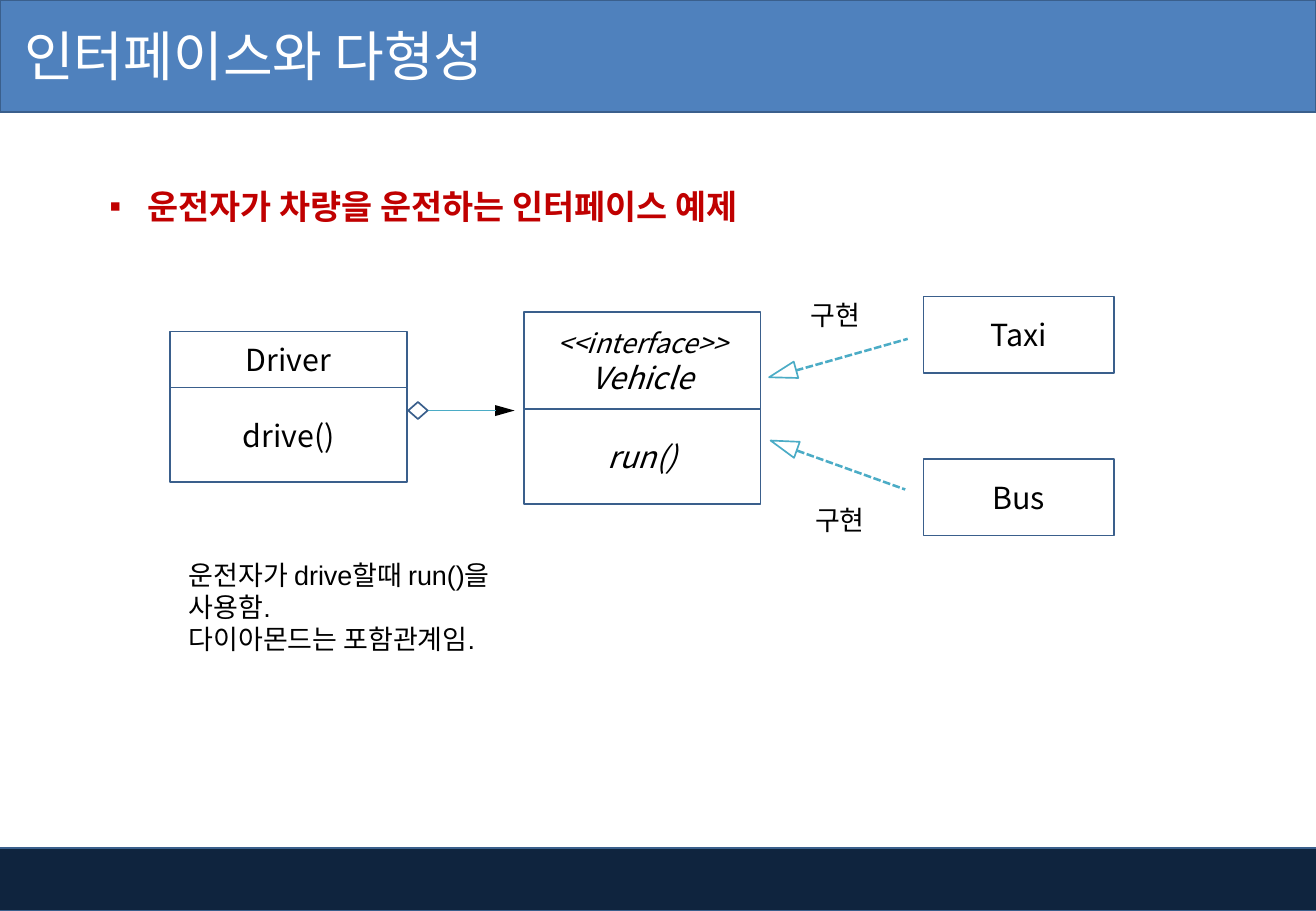
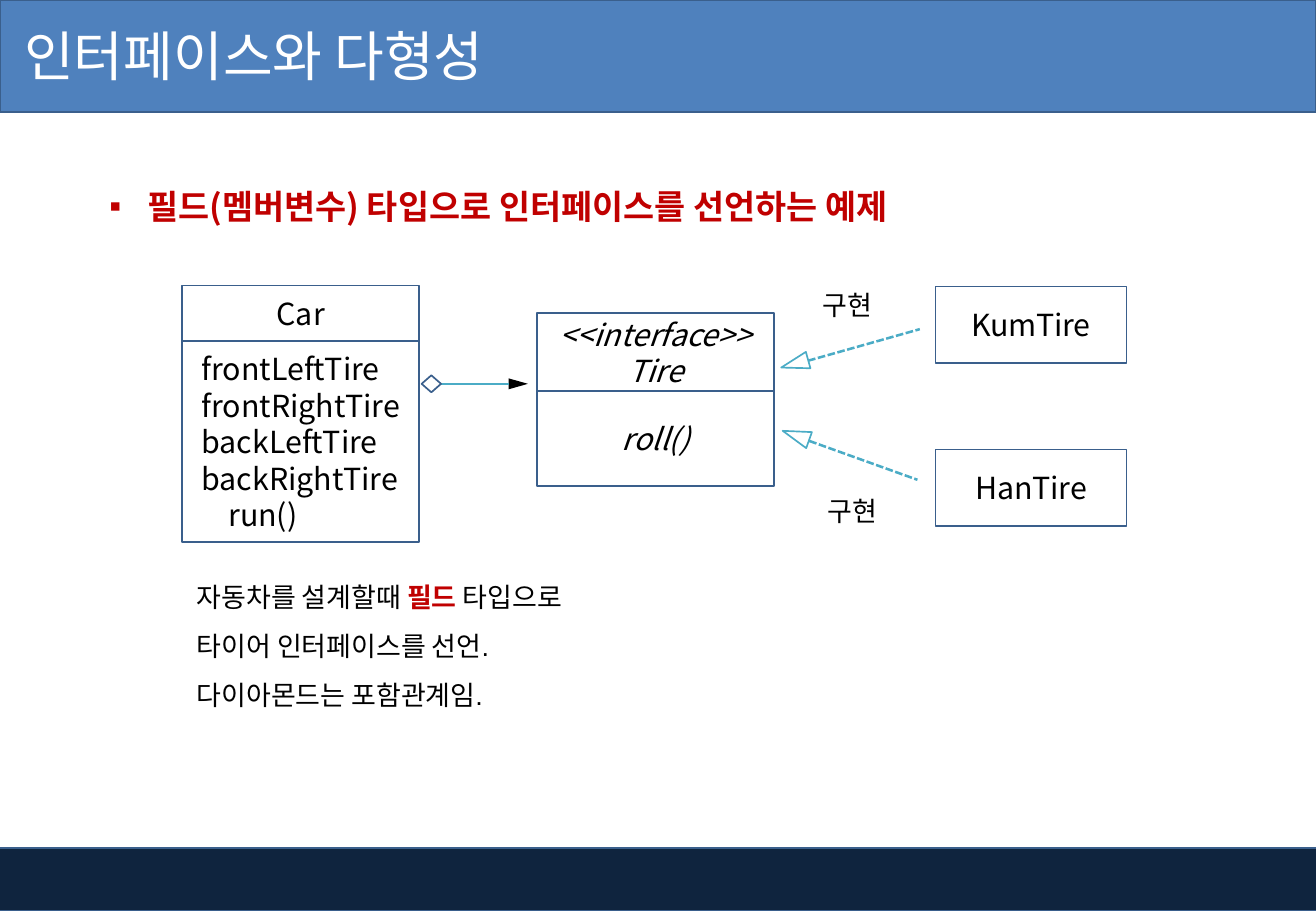
from dataclasses import dataclass

from lxml.etree import SubElement
from pptx import Presentation
from pptx.dml.color import RGBColor
from pptx.enum.dml import MSO_LINE
from pptx.enum.shapes import MSO_CONNECTOR, MSO_SHAPE
from pptx.enum.text import MSO_ANCHOR, MSO_AUTO_SIZE, PP_ALIGN
from pptx.oxml.ns import qn
from pptx.util import Inches, Pt


@dataclass(frozen=True)
class Theme:
    """Colours, fonts and type sizes."""
    white: str = "FFFFFF"
    black: str = "000000"
    blue: str = "4F81BD"
    navy: str = "0F243E"
    edge: str = "3A5F8C"
    teal: str = "4BACC6"
    red: str = "C00000"
    font: str = "Noto Sans CJK KR"
    plain: str = "Arial"
    title: int = 32
    lead: int = 20
    name: int = 18
    note: int = 16


THEME = Theme()


@dataclass(frozen=True)
class Line:
    """One paragraph with its format."""
    text: str
    size: int = THEME.name
    color: str = THEME.black
    font: str = THEME.font
    align: PP_ALIGN = PP_ALIGN.CENTER
    bold: bool = False
    italic: bool = False
    space: float = 1.0
    left: float = 0.0
    bullet: str = ""
    mark: str = ""


@dataclass(frozen=True)
class Box:
    """A class box with a head part and a body part."""
    x: float
    y: float
    head: float
    body: float
    names: tuple[Line, ...]
    members: tuple[Line, ...]


@dataclass(frozen=True)
class Link:
    """A dashed arrow and its label, measured from a small class box."""
    tip: tuple[float, float]
    turn: float
    start: tuple[float, float]
    end: tuple[float, float]
    label: tuple[float, float]


@dataclass(frozen=True)
class Note:
    """A rounded note under the diagram."""
    x: float
    y: float
    wide: float
    high: float
    lines: tuple[Line, ...]


@dataclass(frozen=True)
class Page:
    """All that differs between slides."""
    lead: str
    owner: Box
    face: Box
    hold: tuple[float, float]
    kinds: tuple[str, str]
    top: tuple[float, float]
    note: Note


TITLE = "인터페이스와 다형성"
STEP = 1.34
LINKS = (
    Link((-1.23, 0.52), 254.5, (-1.05, 0.61), (-0.13, 0.35), (-1.03, -0.03)),
    Link((-1.22, -0.23), 289.5, (-1.04, -0.07), (-0.15, 0.25), (-0.99, 0.32)),
)


def remark(text: str, space: float = 1.0, mark: str = "") -> Line:
    """Return a paragraph of a note."""
    return Line(text, THEME.note, font=THEME.plain, align=PP_ALIGN.LEFT,
                space=space, mark=mark)


def field(text: str, left: float = 0.06) -> Line:
    """Return a member that is set flush left."""
    return Line(text, align=PP_ALIGN.LEFT, left=left)


PAGES = (
    Page(
        "운전자가 차량을 운전하는 인터페이스 예제",
        Box(1.4, 2.73, 0.46, 0.78, (Line("Driver"),), (Line("drive()"),)),
        Box(4.31, 2.57, 0.8, 0.78,
            (Line("<<interface>>", THEME.note, italic=True),
             Line("Vehicle", italic=True)),
            (Line("run()", italic=True),)),
        (3.36, 3.38), ("Taxi", "Bus"), (7.6, 2.44),
        Note(1.4, 4.41, 3, 1.17,
             (remark("운전자가 drive할때 run()을 사용함."),
              remark("다이아몬드는 포함관계임."))),
    ),
    Page(
        "필드(멤버변수) 타입으로 인터페이스를 선언하는 예제",
        Box(1.5, 2.35, 0.46, 1.65, (Line("Car"),),
            (field("frontLeftTire"), field("frontRightTire"),
             field("backLeftTire"), field("backRightTire"),
             field("run()", 0.28))),
        Box(4.42, 2.58, 0.64, 0.78,
            (Line("<<interface>>", italic=True), Line("Tire", italic=True)),
            (Line("roll()", italic=True),)),
        (3.47, 3.16), ("KumTire", "HanTire"), (7.7, 2.36),
        Note(1.47, 4.72, 3.68, 1.06,
             (remark("자동차를 설계할때 필드 타입으로 타이어 인터페이스를 선언.",
                     1.5, "필드"),
              remark("다이아몬드는 포함관계임.", 1.5))),
    ),
)


def rgb(color: str) -> RGBColor:
    """Return a colour from its hex form."""
    return RGBColor.from_string(color)


def write(shape, lines: tuple[Line, ...], anchor=MSO_ANCHOR.MIDDLE) -> None:
    """Fill a shape with formatted paragraphs."""
    frame = shape.text_frame
    frame.word_wrap = True
    frame.auto_size = MSO_AUTO_SIZE.NONE
    frame.vertical_anchor = anchor
    for i, line in enumerate(lines):
        para = frame.add_paragraph() if i else frame.paragraphs[0]
        para.alignment = line.align
        para.line_spacing = line.space
        para.space_before = Pt(0)
        props = para._p.get_or_add_pPr()
        props.set("marL", str(Inches(line.left)))
        props.set("indent", str(-Inches(line.left) if line.bullet else 0))
        if line.bullet:
            SubElement(props, qn("a:buChar")).set("char", line.bullet)
        font = para.font
        font.size = Pt(line.size)
        font.bold = line.bold
        font.italic = line.italic
        font.color.rgb = rgb(line.color)
        font.name = line.font
        SubElement(props.find(qn("a:defRPr")), qn("a:ea")).set(
            "typeface", THEME.font)
        parts = line.text.partition(line.mark) if line.mark else (line.text,)
        for part in parts:
            run = para.add_run()
            run.text = part
            if part == line.mark:
                run.font.bold = True
                run.font.color.rgb = rgb(THEME.red)


def place(shape, x: float, y: float, wide: float, high: float) -> None:
    """Move and size a shape."""
    shape.left, shape.top = Inches(x), Inches(y)
    shape.width, shape.height = Inches(wide), Inches(high)


def draw(shapes, kind, x: float, y: float, wide: float, high: float,
         fill: str = "", edge: str = "", turn: float = 0):
    """Add a flat shape."""
    shape = shapes.add_shape(kind, Inches(x), Inches(y),
                             Inches(wide), Inches(high))
    shape.shadow.inherit = False
    shape.rotation = turn
    if fill:
        shape.fill.solid()
        shape.fill.fore_color.rgb = rgb(fill)
    else:
        shape.fill.background()
    if edge:
        shape.line.color.rgb = rgb(edge)
        shape.line.width = Pt(1)
    else:
        shape.line.fill.background()
    return shape


def join(shapes, start: tuple[float, float], end: tuple[float, float],
         width: float, dash=None) -> None:
    """Add a straight teal line."""
    line = shapes.add_connector(MSO_CONNECTOR.STRAIGHT,
                                *map(Inches, start + end))
    line.line.color.rgb = rgb(THEME.teal)
    line.line.width = Pt(width)
    if dash:
        line.line.dash_style = dash
    SubElement(line._element.spPr, qn("a:effectLst"))


def cell(shapes, x: float, y: float, wide: float, high: float,
         lines: tuple[Line, ...]) -> None:
    """Add an outlined box with text."""
    write(draw(shapes, MSO_SHAPE.RECTANGLE, x, y, wide, high,
               edge=THEME.edge), lines)


def stack(shapes, box: Box) -> None:
    """Add a two-part class box."""
    cell(shapes, box.x, box.y, 1.95, box.head, box.names)
    cell(shapes, box.x, box.y + box.head, 1.95, box.body, box.members)


def extend(shapes, link: Link, x: float, y: float) -> None:
    """Add a dashed arrow with its label."""
    group = shapes.add_group_shape().shapes
    draw(group, MSO_SHAPE.ISOSCELES_TRIANGLE, x + link.tip[0],
         y + link.tip[1], 0.14, 0.23, THEME.white, THEME.teal, link.turn)
    join(group, (x + link.start[0], y + link.start[1]),
         (x + link.end[0], y + link.end[1]), 1.5, MSO_LINE.SQUARE_DOT)
    label = shapes.add_textbox(Inches(x + link.label[0]),
                               Inches(y + link.label[1]),
                               Inches(0.72), Inches(0.37))
    write(label, (Line("구현", THEME.note, align=PP_ALIGN.LEFT),),
          MSO_ANCHOR.TOP)
    label.text_frame.auto_size = MSO_AUTO_SIZE.SHAPE_TO_FIT_TEXT


def hold(shapes, x: float, y: float) -> None:
    """Add the arrow with a diamond tail, centred on y."""
    group = shapes.add_group_shape().shapes
    draw(group, MSO_SHAPE.ISOSCELES_TRIANGLE, x + 0.75, y - 0.08,
         0.09, 0.16, THEME.black, turn=90)
    join(group, (x + 0.72, y), (x + 0.16, y), 1)
    draw(group, MSO_SHAPE.DIAMOND, x, y - 0.07, 0.16, 0.14, edge=THEME.edge)


def frame(layout, slide) -> None:
    """Put the bands and placeholder places on the layout."""
    bands = ((0, 0, 10.83, 0.92, THEME.blue),
             (-0.04, 6.98, 10.88, 0.52, THEME.navy))
    for *place_at, fill in bands:
        band = draw(slide.shapes, MSO_SHAPE.RECTANGLE, *place_at,
                    fill, THEME.edge)
        layout.shapes.element.insert(2, band.element)
    place(layout.placeholders[0], 0, -0.02, 6.78, 0.94)
    place(layout.placeholders[1], 0.8, 1.31, 7.45, 0.55)


def build(slide, page: Page) -> None:
    """Draw one slide."""
    shapes = slide.shapes
    write(shapes.title, (Line(TITLE, THEME.title, THEME.white,
                              align=PP_ALIGN.LEFT),))
    shapes.title.text_frame.margin_left = Inches(0.2)
    write(slide.placeholders[1],
          (Line(page.lead, THEME.lead, THEME.red, align=PP_ALIGN.LEFT,
                bold=True, space=1.5, left=0.31, bullet="▪"),),
          MSO_ANCHOR.TOP)
    stack(shapes, page.owner)
    stack(shapes, page.face)
    hold(shapes, *page.hold)
    x, top = page.top
    for i, (kind, link) in enumerate(zip(page.kinds, LINKS)):
        y = top + i * STEP
        cell(shapes, x, y, 1.57, 0.63, (Line(kind),))
        extend(shapes, link, x, y)
    note = page.note
    write(draw(shapes, MSO_SHAPE.ROUNDED_RECTANGLE, note.x, note.y,
               note.wide, note.high, THEME.white), note.lines)


def main() -> None:
    """Build and save the deck."""
    deck = Presentation()
    deck.slide_width, deck.slide_height = Inches(10.83), Inches(7.5)
    layout = deck.slide_layouts[1]
    slides = [deck.slides.add_slide(layout) for _ in PAGES]
    frame(layout, slides[0])
    for slide, page in zip(slides, PAGES):
        build(slide, page)
    deck.save("out.pptx")


if __name__ == "__main__":
    main()
